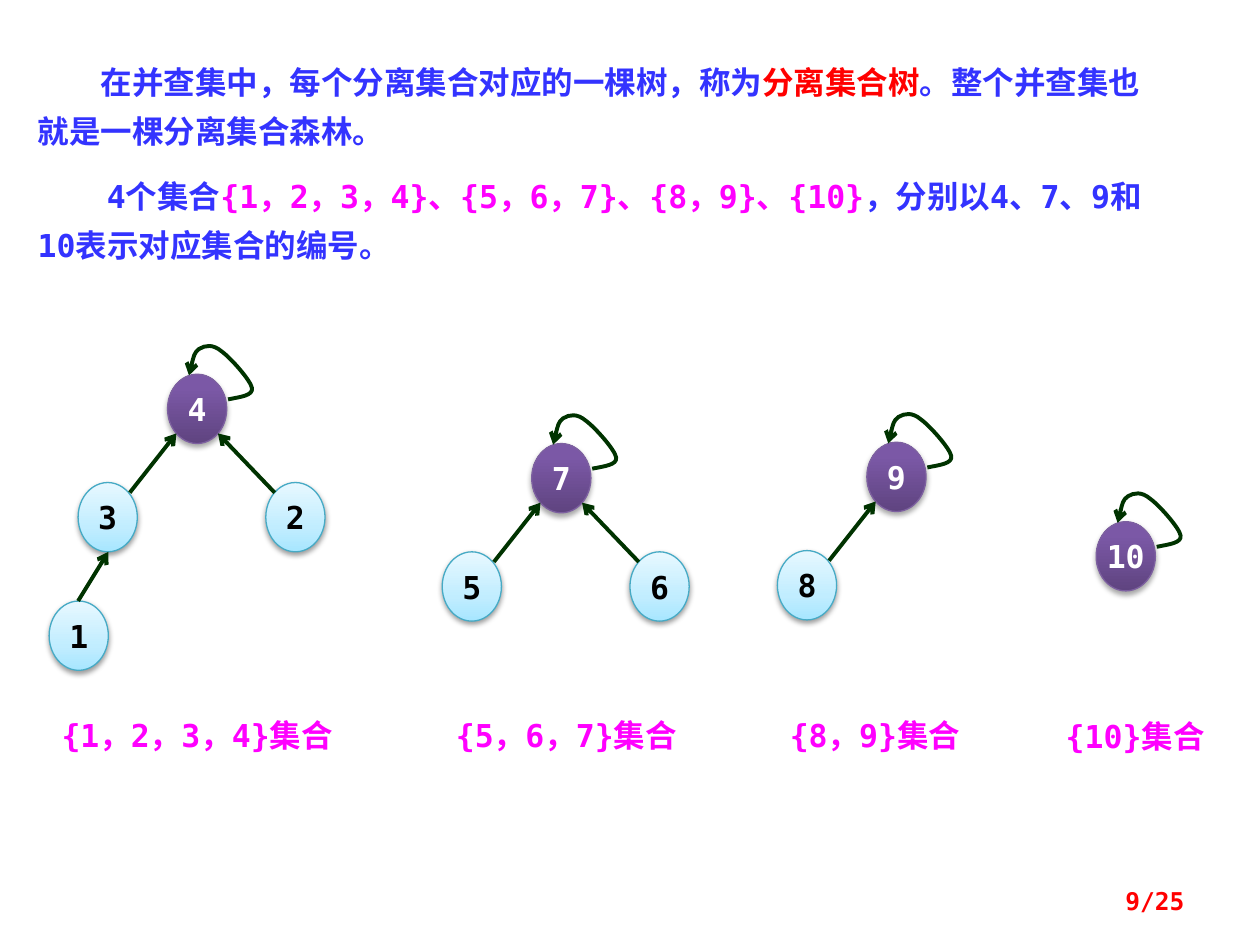
from dataclasses import dataclass

from lxml import etree
from pptx import Presentation
from pptx.dml.color import RGBColor
from pptx.enum.shapes import MSO_CONNECTOR, MSO_SHAPE
from pptx.enum.text import MSO_ANCHOR, MSO_AUTO_SIZE, PP_ALIGN
from pptx.oxml.ns import qn
from pptx.util import Inches, Pt


@dataclass(frozen=True)
class Theme:
    """Colours, fonts and type sizes of the slide."""
    body: str = "3333FF"
    accent: str = "FF0000"
    sets: str = "FF00FF"
    arrow: str = "003300"
    mono: str = "DejaVu Sans Mono"
    cjk: str = "Noto Sans CJK JP"
    text_size: int = 18
    page_size: int = 14


@dataclass(frozen=True)
class NodeStyle:
    """Look of one kind of tree node; stops run from bottom to top."""
    stops: tuple
    outline: str
    text: str
    shadow_alpha: int
    shadow_dist: float


THEME = Theme()
ROOT = NodeStyle(((0, "5F4480"), (80, "7B58A6"), (100, "7C57A8")),
                 "7D60A0", "FFFFFF", 35, 1.8)
CHILD = NodeStyle(((0, "A7E6FF"), (35, "C1EDFF"), (100, "E7F8FF")),
                  "46AAC5", "000000", 38, 1.6)

# First-line indent in inches, then (text, colour, font) runs
INTRO = [
    (0.5, [("在并查集中，每个分离集合对应的一棵树，称为", THEME.body, THEME.mono),
           ("分离集合树", THEME.accent, THEME.cjk),
           ("。整个并查集也就是一棵分离集合森林。", THEME.body, THEME.mono)]),
    (0.55, [("4个集合", THEME.body, THEME.mono),
            ("{1，2，3，4}、{5，6，7}、{8，9}、{10}", THEME.sets, THEME.mono),
            ("，分别以4、7、9和10表示对应集合的编号。", THEME.body, THEME.mono)]),
]
# Root position, root number, children by slot, label and its (left, top, width)
TREES = [
    ((1.33, 2.97), "4", {"left": "3", "right": "2", "lower": "1"},
     "{1，2，3，4}集合", (0.39, 5.63, 2.73)),
    ((4.22, 3.52), "7", {"left": "5", "right": "6"},
     "{5，6，7}集合", (3.52, 5.63, 2.19)),
    ((6.88, 3.51), "9", {"left": "8"}, "{8，9}集合", (6.17, 5.63, 1.8)),
    ((8.7, 4.14), "10", {}, "{10}集合", (8.36, 5.64, 1.41)),
]
PAGE = "9/25"

NODE_SIZE = (0.47, 0.55)
# Offsets from the root's corner: node, arrow start, arrow end
SLOTS = {
    "left": ((-0.71, 0.86), (-0.3, 0.94), (0.07, 0.47)),
    "right": ((0.78, 0.86), (0.85, 0.94), (0.4, 0.47)),
    "lower": ((-0.94, 1.8), (-0.71, 1.8), (-0.47, 1.41)),
}
# Start point, then two controls and an end point per curve
LOOP = [(0.48, 0.2),
        (0.58, 0.18), (0.68, 0.17), (0.67, 0.11),
        (0.66, 0.05), (0.5, -0.13), (0.43, -0.18),
        (0.36, -0.24), (0.3, -0.23), (0.25, -0.2),
        (0.21, -0.17), (0.19, -0.08), (0.17, 0.01)]


def sub(parent, tag, **attributes):
    """Append an XML child and return it."""
    return etree.SubElement(parent, qn(tag), {k: str(v) for k, v in attributes.items()})


def add_run(paragraph, text, colour, font=THEME.mono, size=THEME.text_size):
    """Add one bold run."""
    run = paragraph.add_run()
    run.text = text
    run.font.name, run.font.size, run.font.bold = font, Pt(size), True
    run.font.color.rgb = RGBColor.from_string(colour)
    sub(run.font._element, "a:ea", typeface=THEME.cjk)


def add_text_frame(shapes, left, top, width, height=0.4):
    """Add a wrapping text box and return its frame."""
    frame = shapes.add_textbox(*map(Inches, (left, top, width, height))).text_frame
    frame.word_wrap = True
    return frame


def shift(origin, offset):
    """Return the point at an offset from the origin, as lengths."""
    return tuple(Inches(a + b) for a, b in zip(origin, offset))


def add_node(shapes, position, number, style):
    """Add a numbered ellipse with gradient and soft shadow."""
    node = shapes.add_shape(MSO_SHAPE.OVAL, *position, *map(Inches, NODE_SIZE))
    node.fill.gradient()
    node.fill.gradient_angle = 90
    stops = node._element.spPr.find(".//" + qn("a:gsLst"))
    stops.clear()
    for percent, colour in style.stops:
        sub(sub(stops, "a:gs", pos=percent * 1000), "a:srgbClr", val=colour)
    node.line.color.rgb = RGBColor.from_string(style.outline)
    node.line.width = Pt(0.75)
    node.shadow.inherit = False
    shadow = sub(node._element.spPr.find(qn("a:effectLst")), "a:outerShdw",
                 blurRad=Pt(3.1), dist=Pt(style.shadow_dist), dir=5400000, rotWithShape=0)
    sub(sub(shadow, "a:srgbClr", val="000000"), "a:alpha", val=style.shadow_alpha * 1000)
    frame = node.text_frame
    frame.margin_left = frame.margin_right = 0
    frame.vertical_anchor = MSO_ANCHOR.MIDDLE
    frame.paragraphs[0].alignment = PP_ALIGN.CENTER
    add_run(frame.paragraphs[0], number, style.text)


def style_arrow(arrow):
    """Give a line its colour, width and open arrowhead, without shadow."""
    arrow.line.color.rgb = RGBColor.from_string(THEME.arrow)
    arrow.line.width = Pt(2.25)
    sub(arrow.line._get_or_add_ln(), "a:tailEnd", type="arrow")
    sub(arrow._element.spPr, "a:effectLst")


def add_loop(shapes, root):
    """Add the curved arrow from a root back to itself."""
    points = [shift(root, offset) for offset in LOOP]
    builder = shapes.build_freeform(*points[0])
    builder.add_line_segments(points[1:], close=False)
    loop = builder.convert_to_shape()
    outline = loop._element.spPr.find(".//" + qn("a:path"))
    segments = outline.findall(qn("a:lnTo"))
    for first in range(0, len(segments), 3):
        curve = sub(outline, "a:cubicBezTo")
        for segment in segments[first:first + 3]:
            curve.append(segment[0])
            outline.remove(segment)
    loop.fill.background()
    style_arrow(loop)


def add_tree(slide, root, root_number, children, label, label_box):
    """Add one grouped tree with its label."""
    shapes = slide.shapes.add_group_shape().shapes
    add_node(shapes, shift(root, (0, 0)), root_number, ROOT)
    for slot, number in children.items():
        add_node(shapes, shift(root, SLOTS[slot][0]), number, CHILD)
    add_run(add_text_frame(shapes, *label_box).paragraphs[0], label, THEME.sets)
    for slot in children:
        start, end = (shift(root, offset) for offset in SLOTS[slot][1:])
        style_arrow(shapes.add_connector(MSO_CONNECTOR.STRAIGHT, *start, *end))
    add_loop(shapes, root)


def add_intro(slide):
    """Add the two introductory paragraphs."""
    frame = add_text_frame(slide.shapes, 0.2, 0.36, 9.14, 1.84)
    frame.auto_size = MSO_AUTO_SIZE.SHAPE_TO_FIT_TEXT
    for index, (indent, runs) in enumerate(INTRO):
        paragraph = frame.add_paragraph() if index else frame.paragraphs[0]
        paragraph.line_spacing, paragraph.space_before = Pt(28), Pt(9.5)
        paragraph._p.get_or_add_pPr().set("indent", str(Inches(indent)))
        for run in runs:
            add_run(paragraph, *run)


def add_page_number(slide):
    """Add the page number at the lower right."""
    frame = add_text_frame(slide.shapes, 7.17, 6.95, 2.33)
    frame.vertical_anchor = MSO_ANCHOR.MIDDLE
    frame.paragraphs[0].alignment = PP_ALIGN.RIGHT
    add_run(frame.paragraphs[0], PAGE, THEME.accent, size=THEME.page_size)


def main():
    """Build and save the slide."""
    deck = Presentation()
    deck.slide_width, deck.slide_height = Inches(10), Inches(7.5)
    slide = deck.slides.add_slide(deck.slide_layouts[6])
    add_intro(slide)
    for tree in TREES:
        add_tree(slide, *tree)
    add_page_number(slide)
    deck.save("out.pptx")


main()
